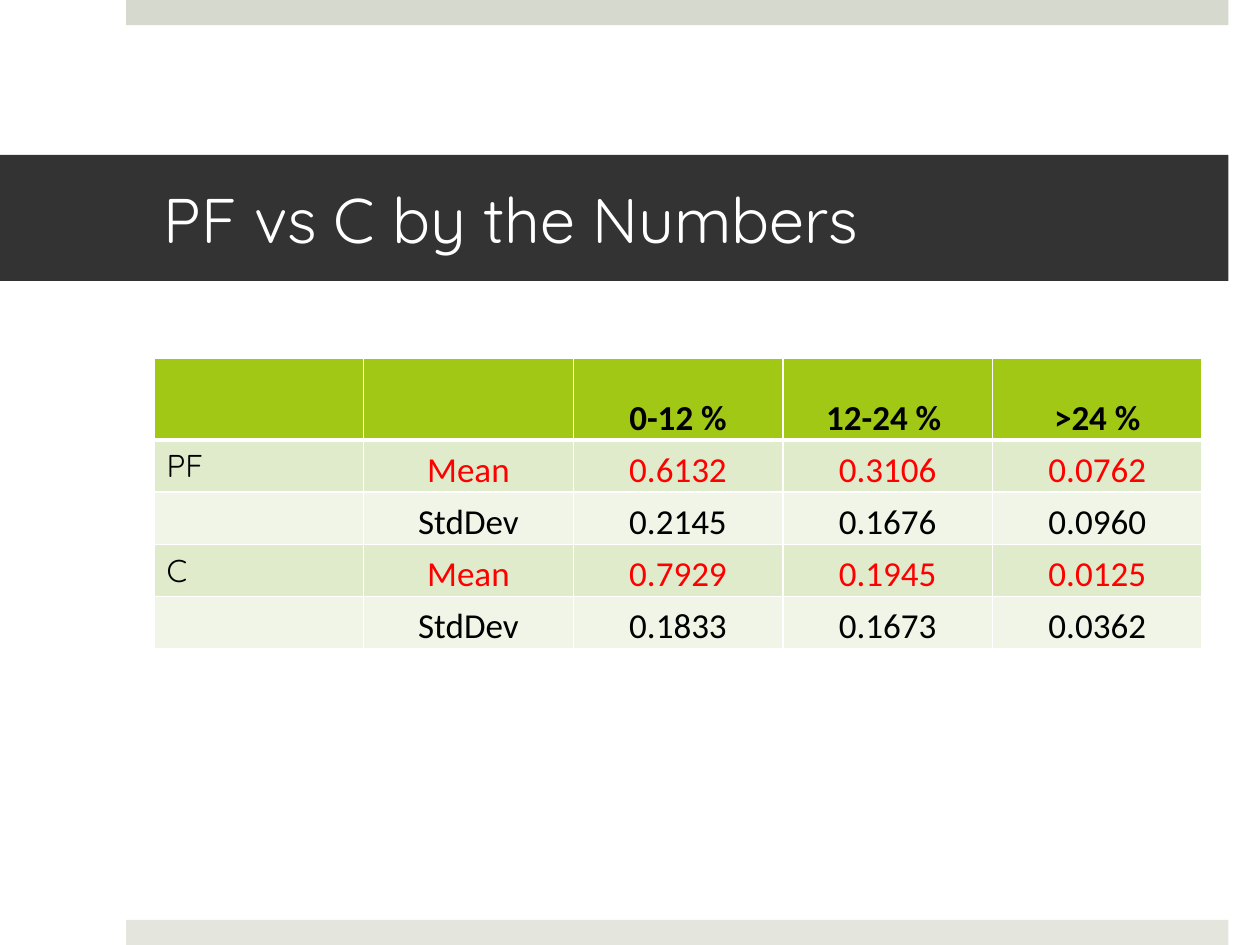
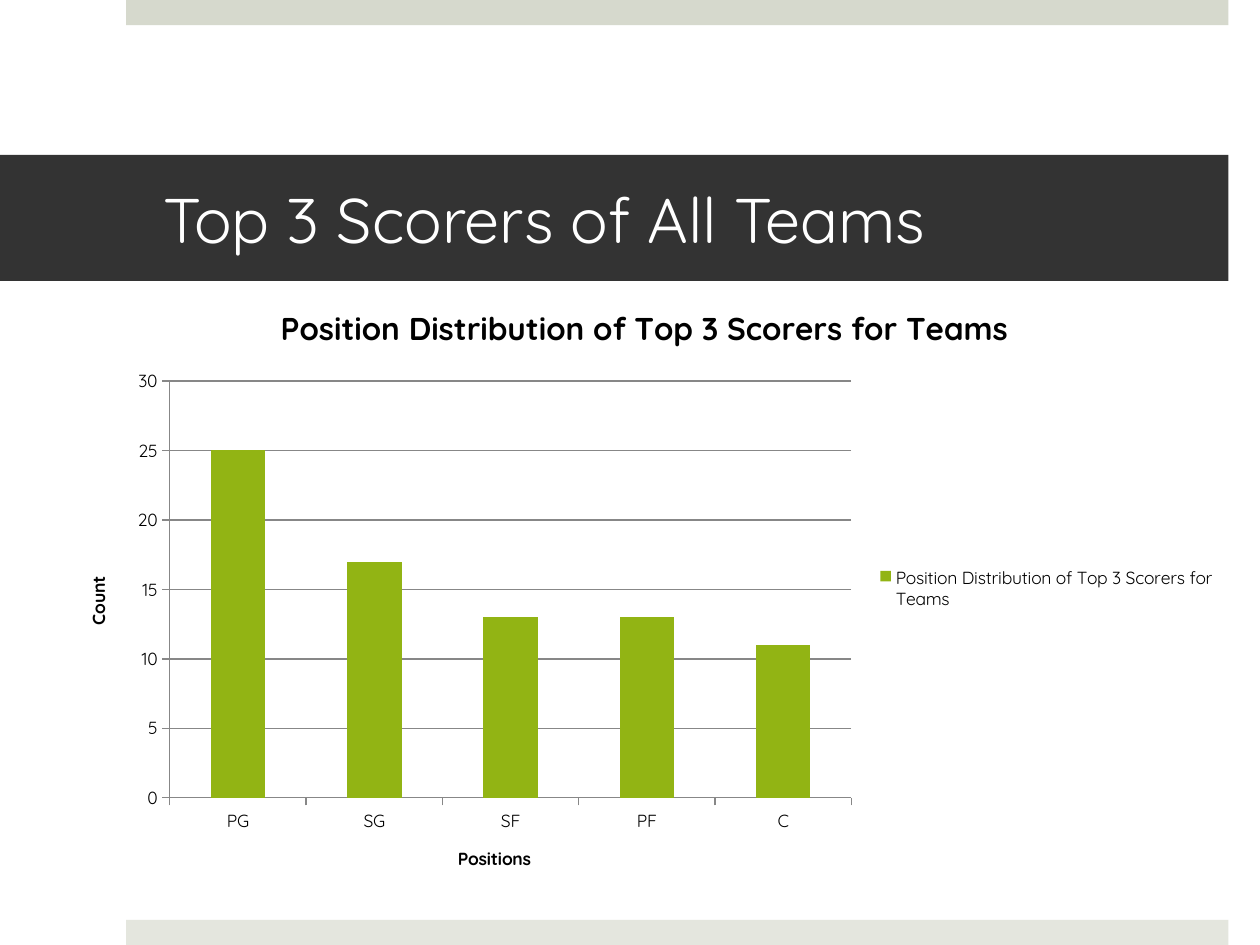
from dataclasses import dataclass

from lxml.etree import SubElement
from pptx import Presentation
from pptx.chart.data import CategoryChartData as ChartData
from pptx.dml.color import RGBColor as RGB
from pptx.enum.chart import XL_CHART_TYPE as ChartType
from pptx.enum.chart import XL_LEGEND_POSITION as LegendPos
from pptx.enum.chart import XL_TICK_MARK as Tick
from pptx.enum.shapes import MSO_SHAPE as Shape
from pptx.enum.text import MSO_ANCHOR as Anchor
from pptx.enum.text import PP_ALIGN as Align
from pptx.oxml.ns import qn
from pptx.util import Pt


@dataclass(frozen=True)
class Theme:
    top_band: str = "D6D9CD"
    bottom_band: str = "E4E6DE"
    title_band: str = "333333"
    accent: str = "A2C816"
    row_fills: tuple = ("E0EBCC", "F0F5E8")
    white: str = "FFFFFF"
    text: str = "000000"
    highlight: str = "FF0000"
    axis: str = "878787"
    font: str = "Quicksand"
    number_font: str = "Calibri"
    title_size: int = 36
    number_size: int = 20
    label_size: int = 18
    chart_size: int = 10


THEME = Theme()
SLIDE_W, SLIDE_H = 720, 540


def style_font(font, size, color=THEME.text, name=THEME.font, bold=False):
    font.size, font.name, font.bold = Pt(size), name, bold
    font.color.rgb = RGB.from_string(color)


def add_run(paragraph, text, *style, **options):
    run = paragraph.add_run()
    run.text = text
    style_font(run.font, *style, **options)


def add_band(slide, box, color):
    band = slide.shapes.add_shape(Shape.RECTANGLE, *map(Pt, box))
    band.shadow.inherit = False
    band.fill.solid()
    band.fill.fore_color.rgb = RGB.from_string(color)
    band.line.fill.background()
    return band


def add_titled_slide(prs, title):
    """Blank slide with the edge bands and the dark title band."""
    slide = prs.slides.add_slide(prs.slide_layouts[6])
    edge_h = 14.4
    add_band(slide, (72, 0, 630, edge_h), THEME.top_band)
    add_band(slide, (72, SLIDE_H - edge_h, 630, edge_h), THEME.bottom_band)

    frame = add_band(slide, (0, 88.5, 702, 72), THEME.title_band).text_frame
    frame.word_wrap = True
    frame.vertical_anchor = Anchor.MIDDLE
    frame.margin_left, frame.margin_right = Pt(93.6), Pt(21.6)
    frame.paragraphs[0].alignment = Align.LEFT
    add_run(frame.paragraphs[0], title, THEME.title_size, THEME.white)
    return slide


def set_cell_borders(cell, bottom_width):
    properties = cell._tc.get_or_add_tcPr()
    for side, width in (("L", 1), ("R", 1), ("T", 1), ("B", bottom_width)):
        line = SubElement(properties, qn(f"a:ln{side}"), w=str(Pt(width)))
        fill = SubElement(line, qn("a:solidFill"))
        SubElement(fill, qn("a:srgbClr"), val=THEME.white)


def add_stats_table(slide, box, rows):
    """Header row, then Mean and StdDev rows for each position."""
    left, top, width, height = box
    header_h = 47
    columns = len(rows[0])
    table = slide.shapes.add_table(len(rows), columns, *map(Pt, box)).table
    for column in table.columns:
        column.width = Pt(width / columns)

    for r, values in enumerate(rows):
        is_header = r == 0
        table.rows[r].height = Pt(
            header_h if is_header else (height - header_h) / (len(rows) - 1))
        row_fill = THEME.accent if is_header else THEME.row_fills[(r - 1) % 2]
        color = THEME.highlight if values[1] == "Mean" else THEME.text
        for c, value in enumerate(values):
            cell = table.cell(r, c)
            set_cell_borders(cell, 3 if is_header else 1)
            cell.fill.solid()
            cell.fill.fore_color.rgb = RGB.from_string(row_fill)
            if not value:
                continue
            paragraph = cell.text_frame.paragraphs[0]
            if c == 0:
                add_run(paragraph, value, THEME.label_size)
                continue
            cell.vertical_anchor = Anchor.BOTTOM
            cell.margin_left = cell.margin_right = cell.margin_top = Pt(0.72)
            cell.margin_bottom = 0
            paragraph.alignment = Align.CENTER
            add_run(paragraph, value, THEME.number_size, color,
                    THEME.number_font, bold=is_header)


def style_axis(axis, title):
    axis.major_tick_mark, axis.minor_tick_mark = Tick.OUTSIDE, Tick.NONE
    style_line(axis.format.line)
    style_font(axis.tick_labels.font, THEME.chart_size)
    add_run(axis.axis_title.text_frame.paragraphs[0], title,
            THEME.chart_size, bold=True)


def style_line(line):
    line.color.rgb = RGB.from_string(THEME.axis)
    line.width = Pt(0.75)


def add_positions_chart(slide, box, title, counts):
    """Column chart of how many top scorers play each position."""
    data = ChartData()
    data.categories = list(counts)
    data.add_series(title, list(counts.values()))
    chart = slide.shapes.add_chart(
        ChartType.COLUMN_CLUSTERED, *map(Pt, box), data).chart
    style_font(chart.font, THEME.chart_size)
    add_run(chart.chart_title.text_frame.paragraphs[0], title,
            THEME.label_size, bold=True)
    chart.chart_title.include_in_layout = False

    # Axes and gridlines
    style_axis(chart.category_axis, "Positions")
    style_axis(chart.value_axis, "Count")
    style_line(chart.value_axis.major_gridlines.format.line)

    # Legend
    chart.has_legend = True
    chart.legend.position = LegendPos.RIGHT
    chart.legend.include_in_layout = False
    style_font(chart.legend.font, THEME.chart_size)

    # Columns, slightly darker than the accent
    plot = chart.plots[0]
    plot.gap_width = 150
    plot.vary_by_categories = False
    column_fill = plot.series[0].format.fill
    column_fill.solid()
    column_fill.fore_color.rgb = RGB.from_string(THEME.accent)
    column_fill.fore_color.brightness = -0.1


def main():
    prs = Presentation()
    prs.slide_width, prs.slide_height = Pt(SLIDE_W), Pt(SLIDE_H)

    numbers = add_titled_slide(prs, "PF vs C by the Numbers")
    add_stats_table(numbers, (88, 204.5, 599, 166), [
        ("", "", "0-12 %", "12-24 % ", ">24 %"),
        ("PF", "Mean", "0.6132", "0.3106", "0.0762"),
        ("", "StdDev", "0.2145", "0.1676", "0.0960"),
        ("C", "Mean", "0.7929", "0.1945", "0.0125"),
        ("", "StdDev", "0.1833", "0.1673", "0.0362"),
    ])

    scorers = add_titled_slide(prs, "Top 3 Scorers of All Teams")
    add_positions_chart(
        scorers, (34.5, 160.5, 667.5, 351.5),
        "Position Distribution of Top 3 Scorers for Teams",
        {"PG": 25, "SG": 17, "SF": 13, "PF": 13, "C": 11})

    prs.save("out.pptx")


if __name__ == "__main__":
    main()
